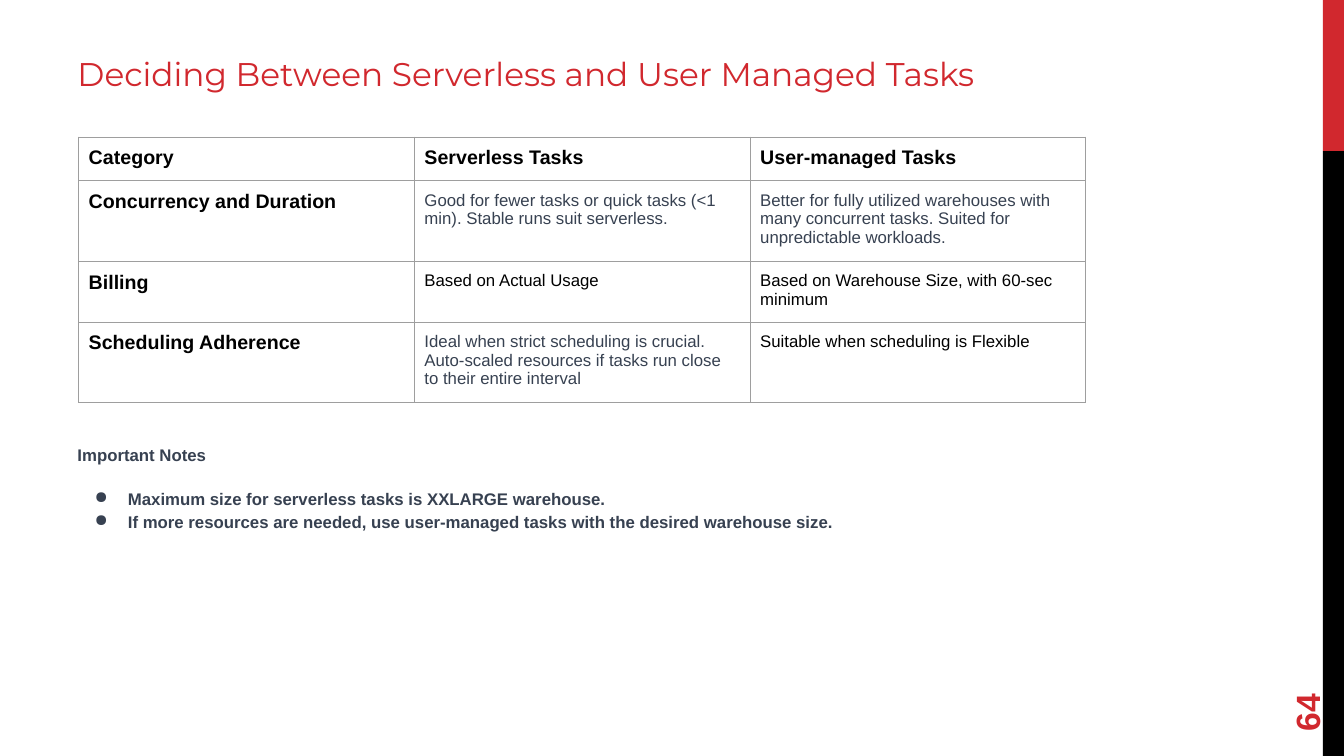
from lxml import etree
from pptx import Presentation
from pptx import util as u
from pptx.dml.color import RGBColor
from pptx.enum import shapes, text
from pptx.oxml.ns import qn

COLORS = {"red": "D1282E", "black": "000000", "slate": "374151", "grid": "9E9E9E"}
HEADINGS = ["Category", "Serverless Tasks", "User-managed Tasks"]
ROWS = [
    ("Concurrency and Duration",
     ("Good for fewer tasks or quick tasks (<1 min). Stable runs suit serverless.", "slate"),
     ("Better for fully utilized warehouses with many concurrent tasks. "
      "Suited for unpredictable workloads.", "slate")),
    ("Billing",
     ("Based on Actual Usage", "black"),
     ("Based on Warehouse Size, with 60-sec minimum", "black")),
    ("Scheduling Adherence",
     ("Ideal when strict scheduling is crucial. Auto-scaled resources if tasks run close "
      "to their entire interval", "slate"),
     ("Suitable when scheduling is Flexible", "black")),
]
ROW_HEIGHTS = [0.42, 0.75, 0.58, 0.76]
NOTES = [
    "Maximum size for serverless tasks is XXLARGE warehouse.",
    "If more resources are needed, use user-managed tasks with the desired warehouse size.",
]


def write(para, words, size, color, bold=False, font="Arial"):
    """Fill a paragraph with words in one style."""
    para.add_run().text = words
    para.font.name = font
    para.font.size = u.Pt(size)
    para.font.bold = bold
    para.font.color.rgb = RGBColor.from_string(COLORS[color])


def add_text_frame(page, left, top, width, height, anchor, rotation=0):
    """Add a wrapping text box and return its frame."""
    box = page.shapes.add_textbox(*map(u.Inches, (left, top, width, height)))
    box.rotation = rotation
    box.text_frame.word_wrap = True
    box.text_frame.vertical_anchor = anchor
    return box.text_frame


def add_side_band(page, left, top, width, height):
    """Draw the edge band, red for its first fifth and black below."""
    split = height / 5
    for color, start, length in (("red", top, split), ("black", top + split, height - split)):
        bar = page.shapes.add_shape(
            shapes.MSO_SHAPE.RECTANGLE, *map(u.Inches, (left, start, width, length)))
        bar.shadow.inherit = False
        bar.fill.solid()
        bar.fill.fore_color.rgb = RGBColor.from_string(COLORS[color])
        bar.line.fill.background()


def add_title(page, left, top, width, height):
    """Place the slide title."""
    frame = add_text_frame(page, left, top, width, height, text.MSO_ANCHOR.BOTTOM)
    write(frame.paragraphs[0], "Deciding Between Serverless and User Managed Tasks",
          23.4, "red", font="Montserrat")


def outline_cell(cell):
    """Give a cell thin borders and no fill."""
    properties = cell._tc.get_or_add_tcPr()
    for side in ("lnL", "lnR", "lnT", "lnB"):
        line = etree.SubElement(properties, qn(f"a:{side}"), w=str(u.Pt(0.75)))
        fill = etree.SubElement(line, qn("a:solidFill"))
        etree.SubElement(fill, qn("a:srgbClr"), val=COLORS["grid"])
    cell.fill.background()


def add_comparison(page, left, top, width, row_heights):
    """Build the table comparing the two kinds of task."""
    lines = [[(words, "black") for words in HEADINGS]]
    lines += [[(category, "black"), *details] for category, *details in ROWS]
    table = page.shapes.add_table(
        len(lines), len(HEADINGS),
        *map(u.Inches, (left, top, width, sum(row_heights)))).table
    for row, height in zip(table.rows, row_heights):
        row.height = u.Inches(height)
    for row_index, line in enumerate(lines):
        for column_index, (words, color) in enumerate(line):
            cell = table.cell(row_index, column_index)
            outline_cell(cell)
            cell.margin_left = cell.margin_right = u.Inches(0.1)
            cell.margin_top = cell.margin_bottom = u.Inches(0.1)
            heading = row_index == 0 or column_index == 0
            write(cell.text_frame.paragraphs[0], words, 14 if heading else 12, color, heading)


def add_bullet(para):
    """Give a paragraph a hanging round bullet."""
    properties = para._p.get_or_add_pPr()
    properties.set("marL", str(u.Inches(0.5)))
    properties.set("indent", str(u.Inches(-0.33)))
    color = etree.SubElement(properties, qn("a:buClr"))
    etree.SubElement(color, qn("a:srgbClr"), val=COLORS["slate"])
    etree.SubElement(properties, qn("a:buChar"), char="●")


def add_notes(page, left, top, width, height):
    """Place the heading and bullets of the important notes."""
    frame = add_text_frame(page, left, top, width, height, text.MSO_ANCHOR.TOP)
    heading = frame.paragraphs[0]
    heading.line_spacing = 1.15
    write(heading, "Important Notes", 12, "slate", True)
    for index, note in enumerate(NOTES):
        para = frame.add_paragraph()
        add_bullet(para)
        para.line_spacing = 1.15
        para.space_before = u.Pt(0 if index else 15)
        write(para, note, 12, "slate", True)


def add_page_number(page, left, top, width, height):
    """Place the page number, reading upwards."""
    frame = add_text_frame(page, left, top, width, height, text.MSO_ANCHOR.MIDDLE, 270)
    write(frame.paragraphs[0], "64", 24, "red", True)


def main():
    """Build and save the deck."""
    deck = Presentation()
    deck.slide_width = u.Inches(13.33)
    deck.slide_height = u.Inches(7.5)
    page = deck.slides.add_slide(deck.slide_layouts[6])
    add_side_band(page, 13.12, 0, 0.21, 7.5)
    add_title(page, 0.67, 0.17, 10.09, 0.8)
    add_notes(page, 0.67, 4.33, 11.11, 2.69)
    add_page_number(page, 12.24, 6.37, 1.44, 0.53)
    add_comparison(page, 0.78, 1.36, 9.99, ROW_HEIGHTS)
    deck.save("out.pptx")


if __name__ == "__main__":
    main()
